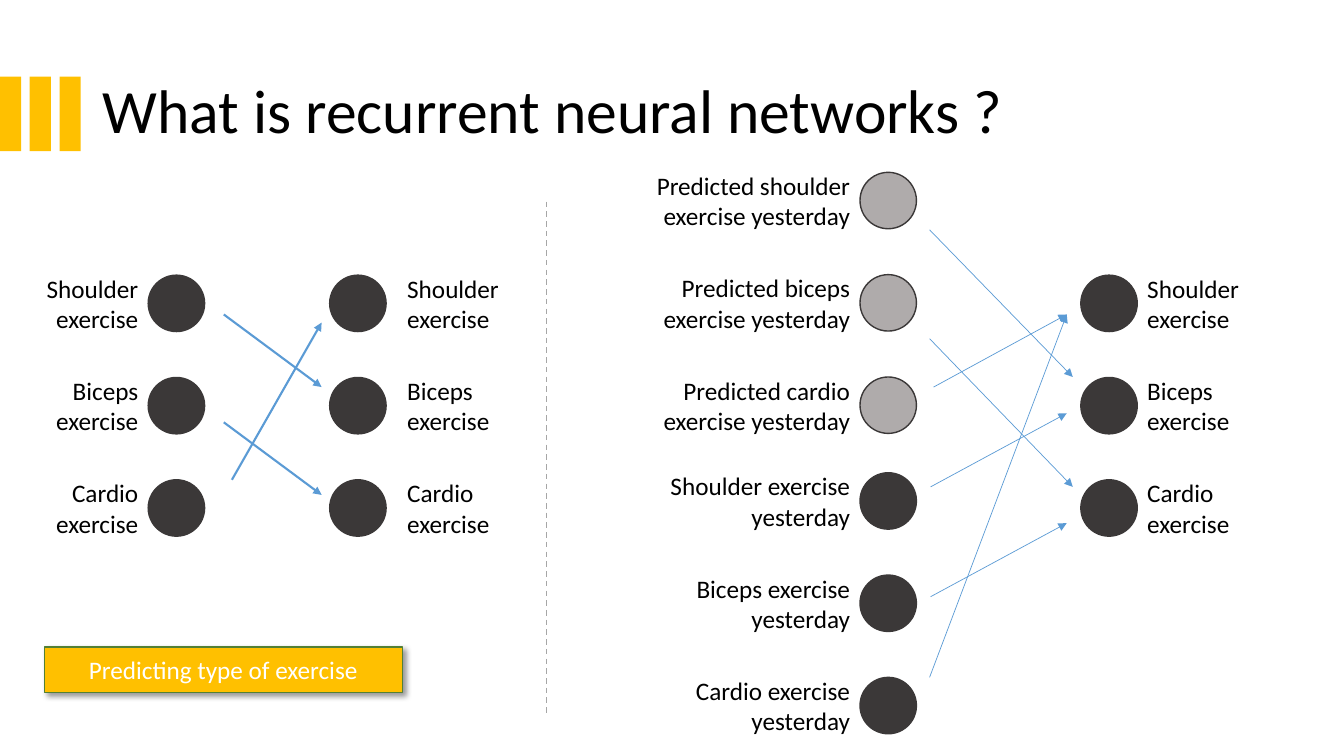
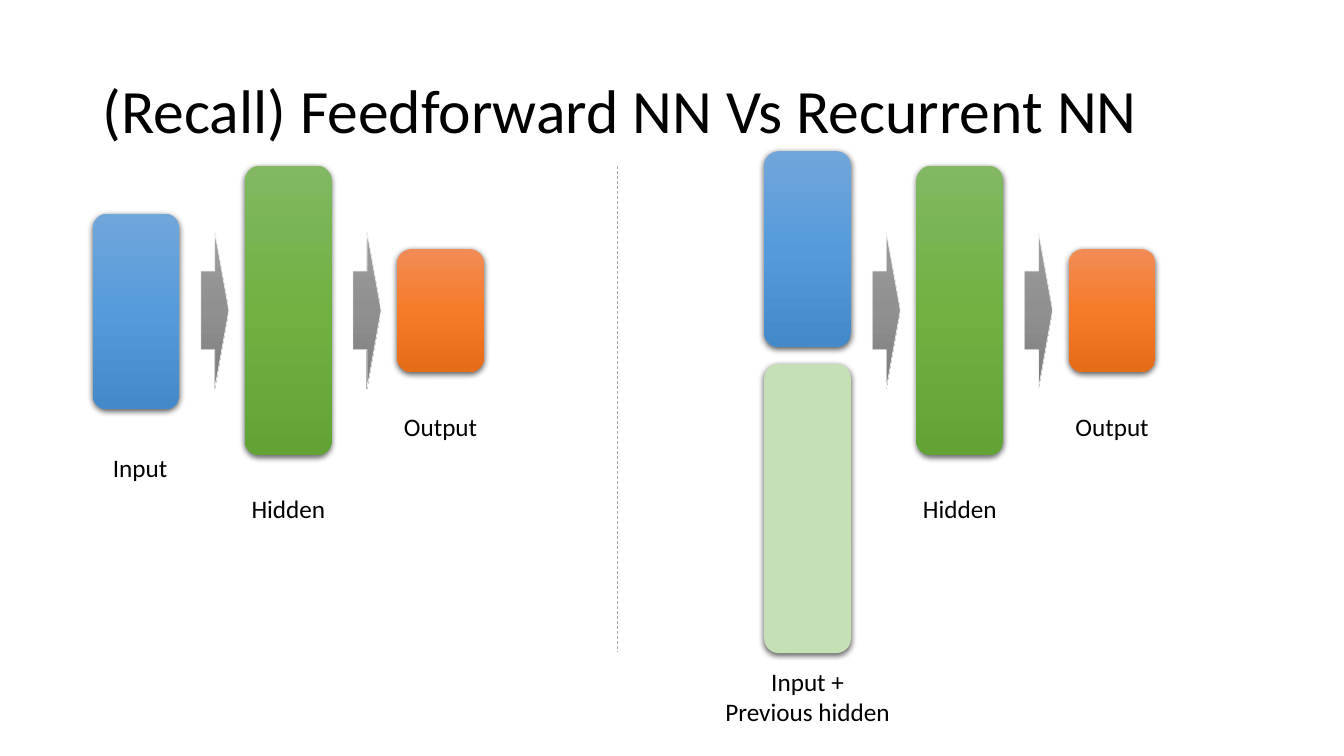
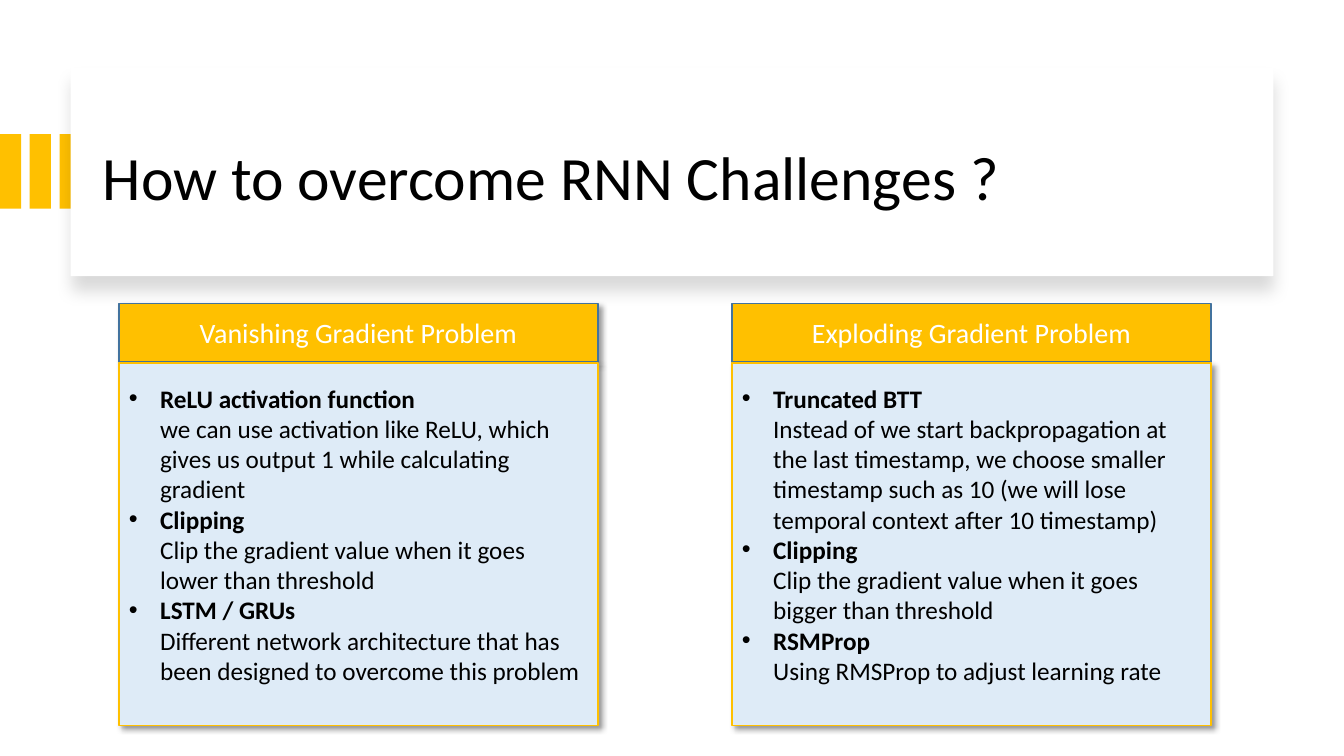
from lxml.etree import SubElement
from pptx import Presentation
from pptx.dml.color import RGBColor
from pptx.enum.dml import MSO_LINE
from pptx.enum.shapes import MSO_CONNECTOR, MSO_SHAPE
from pptx.enum.text import MSO_ANCHOR, PP_ALIGN
from pptx.oxml.ns import qn
from pptx.util import Inches, Pt

# Shared look
FONT = "Calibri"
BLACK, WHITE, GOLD, DARK, PALE = "000000", "FFFFFF", "FFC000", "3B3838", "AFABAB"
BLUE, GREY, SKY = "5B9BD5", "A6A6A6", "DEEBF7"
LEFT, MID, RIGHT = PP_ALIGN.LEFT, PP_ALIGN.CENTER, PP_ALIGN.RIGHT
# Shadows: opacity %, blur pt, distance pt, angle
DROP, SOFT, WIDE = (40, 4, 3, 45), (63, 4.5, 1.5, 90), (15, 11, 10, 90)

# Slide 1: nodes in rows, links as x1, y1, x2, y2
TYPES = ["Shoulder exercise", "Biceps exercise", "Cardio exercise"]
GUESS = ["Predicted shoulder exercise yesterday",
         "Predicted biceps exercise yesterday",
         "Predicted cardio exercise yesterday"]
PAST = [name + " yesterday" for name in TYPES]
NODE, STEP = 0.56, 1.015
# names, node left, first top, fill, label edge, label width, alignment
STACKS = [
    (TYPES, 1.47, 2.73, DARK, 1.47, 1.38, RIGHT),
    (TYPES, 3.27, 2.73, DARK, 3.94, 1.38, LEFT),
    (GUESS, 8.53, 1.71, PALE, 8.53, 2.3, RIGHT),
    (PAST, 8.53, 4.69, DARK, 8.53, 2.3, RIGHT),
    (TYPES, 10.72, 2.73, DARK, 11.28, 1.38, LEFT),
]
LINKS = {
    1.5: [(2.22, 3.12, 3.19, 3.84), (2.22, 4.19, 3.19, 4.91),
          (2.3, 4.76, 3.19, 3.2)],
    0.5: [(9.23, 4.83, 10.58, 4.1), (9.22, 2.28, 10.64, 3.74),
          (9.23, 5.92, 10.58, 5.19), (9.22, 3.36, 10.64, 4.83),
          (9.22, 6.72, 10.58, 3.12), (9.26, 3.84, 10.58, 3.12)],
}

# Slide 2: layers around one axis
AXIS, PITCH, WIDTH = 3.08, 1.51, 0.86
INPUT = ["71A6DB", "559BDB", "448ACA"]
HIDDEN = ["81B861", "6FB242", "62A336"]
OUTPUT = ["F18C57", "F67B28", "E56C19"]
STEEL = ["9D9D9D", "909090", "7C7C7C"]
# panel left, input top, input label, label top, label shift
PANELS = [(0.92, 2.12, "Input", 4.44, 0.04),
          (7.58, 1.5, "Input +\nPrevious hidden", 6.56, 0)]
# label, height, label top, colours
LAYERS = [("Hidden", 2.87, 4.84, HIDDEN), ("Output", 1.22, 4.03, OUTPUT)]

# Slide 3: heading, left, heading shadow, points
CARDS = [
    ("Vanishing Gradient Problem", 1.18, DROP, [
        ("ReLU activation function", "we can use activation like ReLU, "
         "which gives us output 1 while calculating gradient"),
        ("Clipping", "Clip the gradient value when it goes lower than threshold"),
        ("LSTM / GRUs", "Different network architecture that has been "
         "designed to overcome this problem")]),
    ("Exploding Gradient Problem", 7.26, None, [
        ("Truncated BTT", "Instead of we start backpropagation at the last "
         "timestamp, we choose smaller timestamp such as 10 (we will lose "
         "temporal context after 10 timestamp)"),
        ("Clipping", "Clip the gradient value when it goes bigger than threshold"),
        ("RSMProp", "Using RMSProp to adjust learning rate")]),
]


def color(code):
    return RGBColor.from_string(code)


def style(para, size, tone, align):
    para.alignment = align
    for run in para.runs:
        run.font.name, run.font.size = FONT, Pt(size)
        run.font.color.rgb = color(tone)


def write(frame, text, size=18, tone=BLACK, align=LEFT):
    frame.word_wrap = True
    frame.text = text
    for para in frame.paragraphs:
        style(para, size, tone, align)


def label(slide, text, x, y, w, h, **look):
    box = slide.shapes.add_textbox(*map(Inches, (x, y, w, h)))
    write(box.text_frame, text, **look)
    return box.text_frame


def shade(shape, tones):
    """Fill from top to bottom with evenly spaced colours."""
    shape.fill.gradient()
    shape.fill.gradient_angle = 270
    stops = shape._element.spPr.find(".//" + qn("a:gsLst"))
    for stop in list(stops):
        stops.remove(stop)
    for i, tone in enumerate(tones):
        stop = SubElement(stops, qn("a:gs"), pos=str(i * 100000 // (len(tones) - 1)))
        SubElement(stop, qn("a:srgbClr"), val=tone)


def cast(shape, alpha, blur, dist, angle):
    effects = shape._element.spPr.find(qn("a:effectLst"))
    outer = SubElement(effects, qn("a:outerShdw"), blurRad=str(Pt(blur)),
                       dist=str(Pt(dist)), dir=str(angle * 60000),
                       algn="ctr", rotWithShape="0")
    tone = SubElement(outer, qn("a:srgbClr"), val=BLACK)
    SubElement(tone, qn("a:alpha"), val=str(alpha * 1000))


def block(slide, kind, x, y, w, h, fill, line=None, width=1, shadow=None):
    shape = slide.shapes.add_shape(kind, *map(Inches, (x, y, w, h)))
    if isinstance(fill, list):
        shade(shape, fill)
    else:
        shape.fill.solid()
        shape.fill.fore_color.rgb = color(fill)
    if line:
        shape.line.color.rgb = color(line)
        shape.line.width = Pt(width)
    else:
        shape.line.fill.background()
    shape.shadow.inherit = False
    if shadow:
        cast(shape, *shadow)
    return shape


def link(slide, ends, tone, width, dash=False):
    """Draw a dashed rule, or else an arrow."""
    wire = slide.shapes.add_connector(MSO_CONNECTOR.STRAIGHT, *map(Inches, ends))
    wire.line.color.rgb = color(tone)
    wire.line.width = Pt(width)
    if dash:
        wire.line.dash_style = MSO_LINE.DASH
    else:
        SubElement(wire.line._get_or_add_ln(), qn("a:tailEnd"), type="triangle")
    SubElement(wire._element.spPr, qn("a:effectLst"))


def title(slide, text, y=0.4):
    frame = label(slide, text, 0.92, y, 11.5, 1.45, size=44)
    frame.vertical_anchor = MSO_ANCHOR.MIDDLE
    frame.paragraphs[0].line_spacing = 0.9


def bars(slide, y):
    for i in range(3):
        block(slide, MSO_SHAPE.RECTANGLE, i * 0.295, y, 0.21, 0.74, GOLD)


def bullets(frame, points):
    frame.word_wrap = True
    for i, (head, body) in enumerate(points):
        para = frame.add_paragraph() if i else frame.paragraphs[0]
        para.text = head + "\n" + body
        props = para._p.get_or_add_pPr()
        props.set("marL", str(Inches(0.31)))
        props.set("indent", str(Inches(-0.31)))
        SubElement(props, qn("a:buFont"), typeface="Arial")
        SubElement(props, qn("a:buChar"), char="•")
        style(para, 18, BLACK, LEFT)
        para.runs[0].font.bold = True


def networks(slide):
    title(slide, "What is recurrent neural networks ?")
    bars(slide, 0.76)
    for names, x, top, fill, edge, w, align in STACKS:
        for i, name in enumerate(names):
            y = top + i * STEP
            block(slide, MSO_SHAPE.OVAL, x, y, NODE, NODE, fill, DARK)
            start = edge - w if align == RIGHT else edge
            label(slide, name, start, y - 0.07, w, 0.71, align=align)
    for width, paths in LINKS.items():
        for ends in paths:
            link(slide, ends, BLUE, width)
    link(slide, (5.42, 2, 5.42, 7.07), GREY, 1, dash=True)
    tag = block(slide, MSO_SHAPE.RECTANGLE, 0.44, 6.42, 3.55, 0.45, GOLD,
                "538035", shadow=DROP)
    write(tag.text_frame, "Predicting type of exercise", tone=WHITE, align=MID)


def compare(slide):
    title(slide, "(Recall) Feedforward NN Vs Recurrent NN")
    link(slide, (6.12, 1.65, 6.12, 6.47), GREY, 0.5, dash=True)

    def layer(x, y, h, fill):
        block(slide, MSO_SHAPE.ROUNDED_RECTANGLE, x, y, WIDTH, h, fill, shadow=SOFT)

    def caption(text, x, y, w=1.28, h=0.4):
        label(slide, text, x + (WIDTH - w) / 2, y, w, h, align=MID)

    for left, top, name, base, shift in PANELS:
        layer(left, top, 1.94, INPUT)
        caption(name, left + shift, base, 2.24, 0.71)
        for i, (text, h, y, fill) in enumerate(LAYERS, 1):
            x = left + i * PITCH
            layer(x, AXIS - h / 2, h, fill)
            caption(text, x, y)
            block(slide, MSO_SHAPE.RIGHT_ARROW, x - 0.44, AXIS - 0.78, 0.28, 1.56,
                  STEEL, "F2F2F2", 0.5)
    # Previous hidden state
    layer(PANELS[1][0], 3.61, 2.87, "C5E0B4")


def remedies(slide):
    bars(slide, 1.33)
    block(slide, MSO_SHAPE.RECTANGLE, 0.7, 0.67, 11.93, 2.07, WHITE, shadow=WIDE)
    title(slide, "How to overcome RNN Challenges ?", 1.07)
    for head, x, shadow, points in CARDS:
        band = block(slide, MSO_SHAPE.RECTANGLE, x, 3.01, 4.75, 0.58, GOLD,
                     "43739E", shadow=shadow)
        write(band.text_frame, head, 20, WHITE, MID)
        block(slide, MSO_SHAPE.RECTANGLE, x, 3.6, 4.75, 3.6, SKY, GOLD, shadow=DROP)
        bullets(label(slide, "", x, 3.75, 4.75, 3.13), points)


def main():
    deck = Presentation()
    deck.slide_width, deck.slide_height = Inches(13.33), Inches(7.5)
    for build in (networks, compare, remedies):
        build(deck.slides.add_slide(deck.slide_layouts[6]))
    deck.save("out.pptx")


if __name__ == "__main__":
    main()
